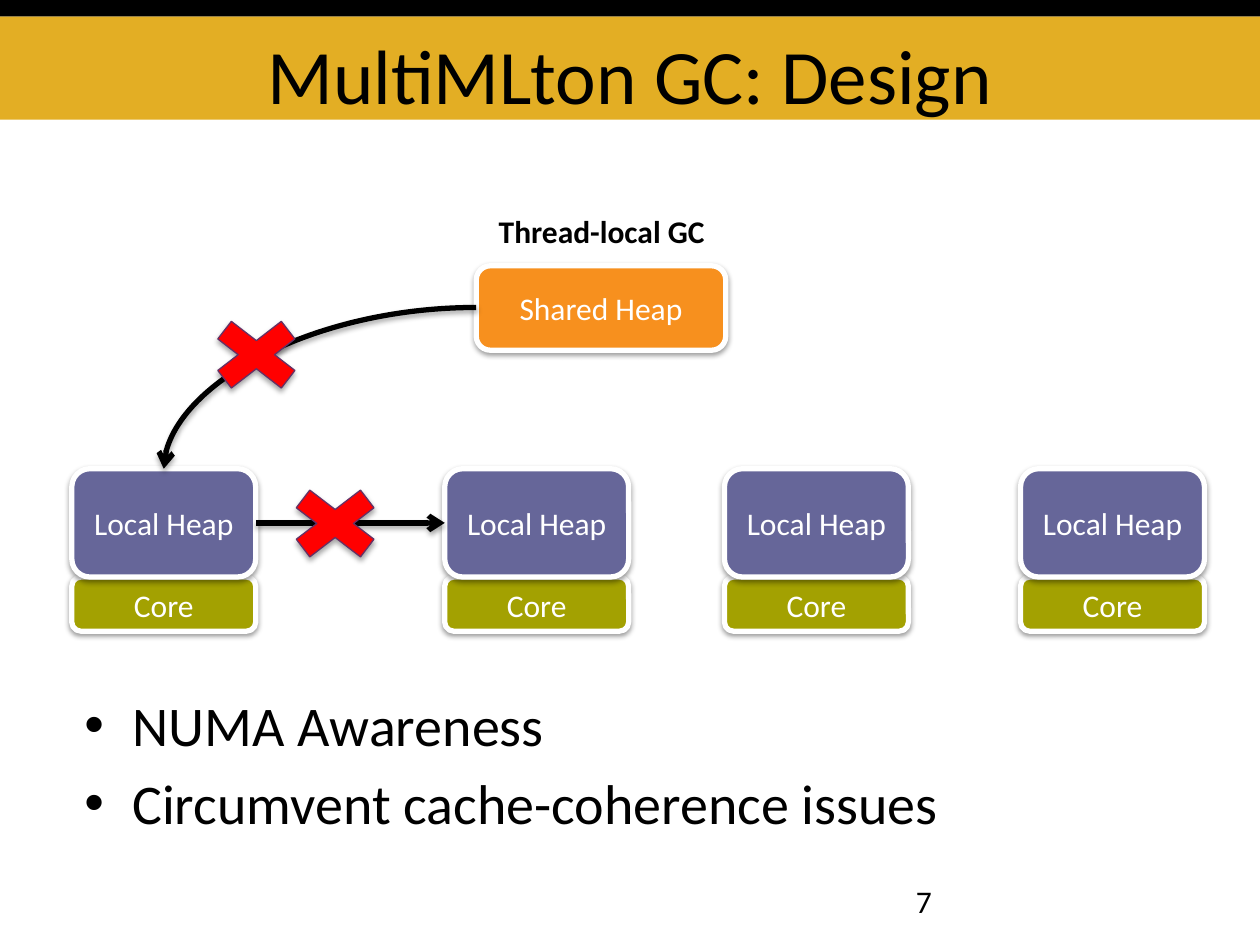
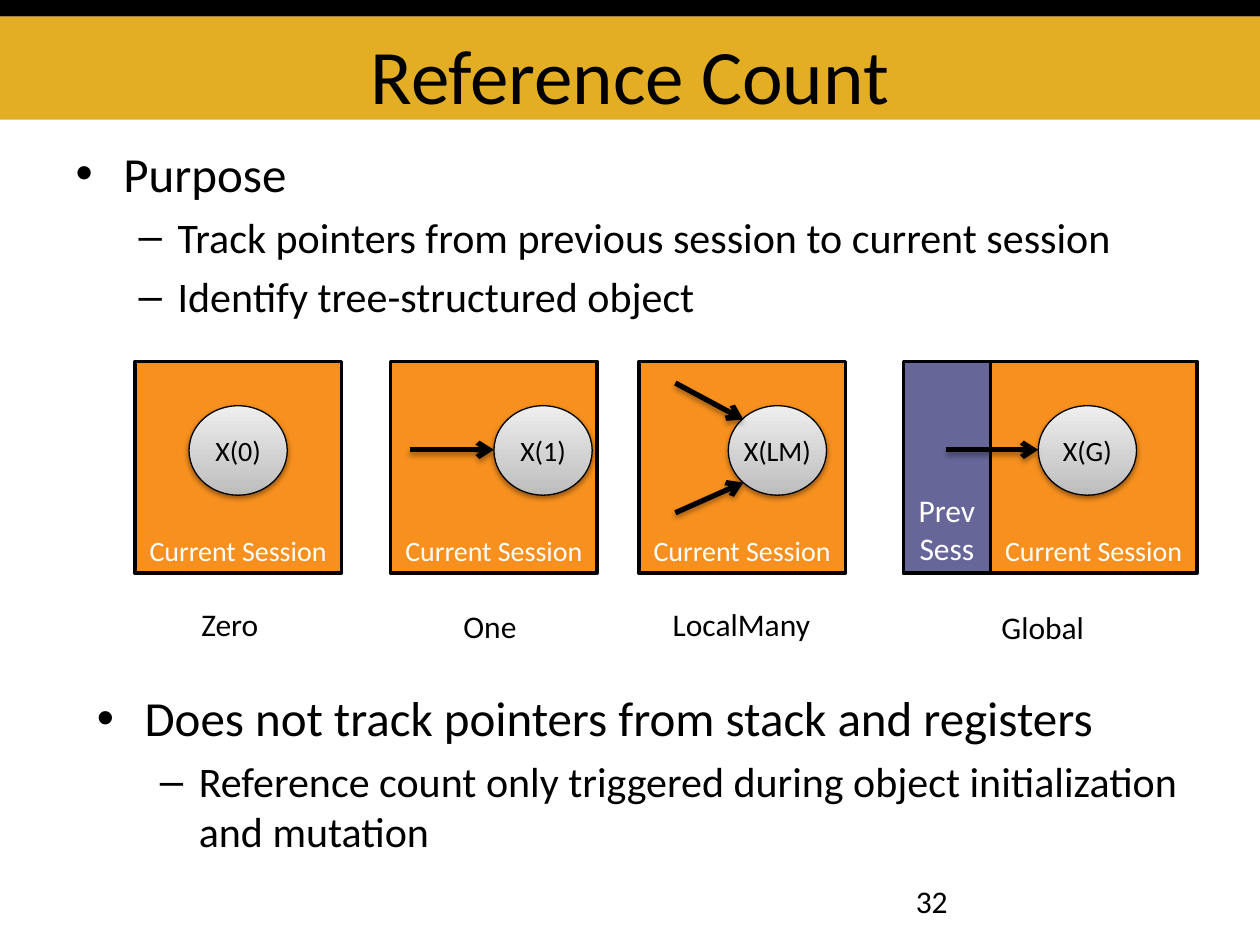
"""Build two slides on the MultiMLton garbage collector: heap design and reference counts."""
import pptx
import pptx.dml.color
import pptx.enum.shapes
import pptx.enum.text
import pptx.oxml
import pptx.oxml.ns
import pptx.util

Inches = pptx.util.Inches
Pt = pptx.util.Pt
SHAPE = pptx.enum.shapes.MSO_SHAPE
CONNECTOR = pptx.enum.shapes.MSO_CONNECTOR
ALIGN = pptx.enum.text.PP_ALIGN
ANCHOR = pptx.enum.text.MSO_ANCHOR
qn = pptx.oxml.ns.qn

FONT = "Calibri"
BLACK, WHITE, RED, PLUM = "000000", "FFFFFF", "FF0000", "653165"
GOLD, OLIVE, SLATE, ORANGE = "E3AE24", "A3A101", "666699", "F7901E"
COUNTER_SHADES = ("BDBDBD", "EEEEEE")

BANDS = [((0, 0.13, 10, 0.82), GOLD), ((0, 0, 10, 0.13), BLACK)]
TITLE_BOX = (0.5, 0.13, 9, 0.82)
NUMBER_BOX = (7.17, 6.95, 2.33, 0.4)
BULLETS = [("•", 0.38, -0.38), ("–", 0.81, -0.31)]

DESIGN = {
    "title": "MultiMLton GC: Design",
    "number": "7",
    "points": [(0, "NUMA Awareness", 32), (0, "Circumvent cache-coherence issues", 32)],
    "points_box": (0.57, 5.43, 9, 1.36),
}
CORE_LEFTS = [0.57, 3.53, 5.75, 8.1]
CORE_WIDTH, HEAP_TOP, HEAP_HEIGHT, CORE_HEIGHT = 1.46, 3.72, 0.86, 0.43
SHARED_HEAP_BOX = (3.78, 2.11, 1.98, 0.67)
FORBIDDEN_CROSSES = [(1.55, 2.44, 0.97, 0.75), (2.17, 3.78, 0.98, 0.75)]

COUNTS = {
    "title": "Reference Count",
    "number": "32",
    "points": [
        (0, "Purpose", 28),
        (1, "Track pointers from previous session to current session", 24),
        (1, "Identify tree-structured object", 24),
    ],
    "points_box": (0.5, 1.09, 9, 1.65),
}
LIMITS = [
    (0, "Does not track pointers from stack and registers", 28),
    (1, "Reference count only triggered during object initialization and mutation", 24),
]
SESSIONS = [
    {"left": 1.07, "counter": ("X(0)", 1.5), "caption": ("Zero", 1.5, 4.75, 0.67), "pointers": []},
    {"left": 3.1, "counter": ("X(1)", 3.92), "caption": ("One", 3.58, 4.77, 0.63),
     "pointers": [((3.25, 3.57), (3.92, 3.57))]},
    {"left": 5.07, "counter": ("X(LM)", 5.78), "caption": ("LocalMany", 5.24, 4.75, 1.31),
     "pointers": [((5.36, 3.04), (5.9, 3.33)), ((5.36, 4.07), (5.9, 3.83))]},
    {"left": 7.86, "counter": ("X(G)", 8.24), "caption": ("Global", 7.85, 4.78, 0.86),
     "pointers": [((7.51, 3.57), (8.24, 3.57))], "previous": "Prev\vSess"},
]
SESSION_TOP, SESSION_WIDTH, SESSION_HEIGHT, PREVIOUS_WIDTH = 2.87, 1.64, 1.68, 0.69
COUNTER_TOP, COUNTER_WIDTH, COUNTER_HEIGHT = 3.22, 0.78, 0.71


def rgb(code):
    return pptx.dml.color.RGBColor.from_string(code)


def inches(lengths):
    return [Inches(length) for length in lengths]


def write(frame, text, size=18, color=BLACK, bold=False, align=ALIGN.LEFT, anchor=ANCHOR.TOP,
          insets=(0.1, 0.05, 0.1, 0.05), wrap=True, level=None):
    first = not frame.text
    paragraph = frame.paragraphs[0] if first else frame.add_paragraph()
    frame.auto_size = pptx.enum.text.MSO_AUTO_SIZE.NONE
    frame.word_wrap, frame.vertical_anchor = wrap, anchor
    frame.margin_left, frame.margin_top, frame.margin_right, frame.margin_bottom = inches(insets)
    paragraph.text, paragraph.alignment = text, align
    paragraph.space_before = Pt(0 if first else round(size * 0.2))
    if level is not None:
        mark, margin, indent = BULLETS[level]
        paragraph.level = level
        properties = paragraph._p.get_or_add_pPr()
        properties.set("marL", str(Inches(margin)))
        properties.set("indent", str(Inches(indent)))
        for tag, key, value in (("a:buFont", "typeface", "Arial"), ("a:buChar", "char", mark)):
            bullet = pptx.oxml.parse_xml(f"<{tag} {pptx.oxml.ns.nsdecls('a')}/>")
            bullet.set(key, value)
            properties.append(bullet)
    for run in paragraph.runs:
        run.font.name, run.font.size, run.font.bold = FONT, Pt(size), bold
        run.font.color.rgb = rgb(color)


def write_points(frame, points):
    for level, text, size in points:
        write(frame, text, size=size, level=level)


def add_label(slide, text, box, **style):
    label = slide.shapes.add_textbox(*inches(box))
    write(label.text_frame, text, **style)


def cast_shadow(shape, alpha, distance):
    shape.element.spPr.append(pptx.oxml.parse_xml(
        f'<a:effectLst {pptx.oxml.ns.nsdecls("a")}><a:outerShdw blurRad="{Pt(3.1)}" '
        f'dist="{Pt(distance)}" dir="5400000" rotWithShape="0"><a:srgbClr val="{BLACK}">'
        f'<a:alpha val="{alpha * 1000}"/></a:srgbClr></a:outerShdw></a:effectLst>'))


def add_block(slide, kind, box, fill, line=None, width=0.75, shadow=None, text="", **style):
    block = slide.shapes.add_shape(kind, *inches(box))
    if isinstance(fill, str):
        block.fill.solid()
        block.fill.fore_color.rgb = rgb(fill)
    else:
        block.fill.gradient()
        block.fill.gradient_angle = 90
        for stop, shade in zip(block.fill.gradient_stops, fill):
            stop.color.rgb = rgb(shade)
    if line:
        block.line.color.rgb, block.line.width = rgb(line), Pt(width)
    else:
        block.line.fill.background()
    if shadow:
        cast_shadow(block, *shadow)
    else:
        block.shadow.inherit = False
    if text:
        write(block.text_frame, text, align=ALIGN.CENTER, **style)
    return block


def add_pointer(slide, start, end, curved=False):
    kind = CONNECTOR.CURVE if curved else CONNECTOR.STRAIGHT
    pointer = slide.shapes.add_connector(kind, *inches(start + end))
    if curved:
        pointer.element.spPr.find(qn("a:prstGeom")).set("prst", "curvedConnector2")
    pointer.line.color.rgb, pointer.line.width = rgb(BLACK), Pt(3)
    pointer.get_or_add_ln().append(
        pptx.oxml.parse_xml(f'<a:tailEnd {pptx.oxml.ns.nsdecls("a")} type="arrow"/>'))
    cast_shadow(pointer, 35, 1.8)


def add_heap(slide, text, box, fill, anchor=ANCHOR.MIDDLE):
    add_block(slide, SHAPE.ROUNDED_RECTANGLE, box, fill, WHITE, 3, (38, 1.6),
              text, color=WHITE, anchor=anchor)


def add_session(slide, text, left, width, fill, size):
    add_block(slide, SHAPE.RECTANGLE, (left, SESSION_TOP, width, SESSION_HEIGHT), fill, BLACK, 2,
              text=text, size=size, color=WHITE, anchor=ANCHOR.BOTTOM)


def place(placeholder, box):
    placeholder.left, placeholder.top, placeholder.width, placeholder.height = inches(box)
    return placeholder.text_frame


def start_slide(deck, content):
    slide = deck.slides.add_slide(deck.slide_layouts[1])
    write(place(slide.shapes.title, TITLE_BOX), content["title"], size=44, align=ALIGN.CENTER,
          anchor=ANCHOR.BOTTOM, insets=(0.1, 0.05, 0.1, 0))
    write_points(place(slide.placeholders[1], content["points_box"]), content["points"])
    add_label(slide, content["number"], NUMBER_BOX)
    return slide


def move_bands_to_master(deck, slide):
    for position, (box, fill) in enumerate(BANDS, start=2):
        band = add_block(slide, SHAPE.RECTANGLE, box, fill)
        deck.slide_master.shapes.element.insert(position, band.element)


def draw_design(slide):
    heap_bottom = HEAP_TOP + HEAP_HEIGHT
    for left in CORE_LEFTS:
        add_heap(slide, "Core", (left, heap_bottom, CORE_WIDTH, CORE_HEIGHT), OLIVE, ANCHOR.TOP)
        add_heap(slide, "Local Heap", (left, HEAP_TOP, CORE_WIDTH, HEAP_HEIGHT), SLATE)
    add_heap(slide, "Shared Heap", SHARED_HEAP_BOX, ORANGE)
    first, second = CORE_LEFTS[:2]
    middle = HEAP_TOP + HEAP_HEIGHT / 2
    add_pointer(slide, (SHARED_HEAP_BOX[0], 2.44), (first + CORE_WIDTH / 2, HEAP_TOP), curved=True)
    add_pointer(slide, (first + CORE_WIDTH, middle), (second, middle))
    for box in FORBIDDEN_CROSSES:
        add_block(slide, SHAPE.MATH_MULTIPLY, box, RED, PLUM, shadow=(35, 1.8))
    add_label(slide, "Thread-local GC", (3.86, 1.63, 1.86, 0.4), bold=True, wrap=False)


def draw_counts(slide):
    for session in SESSIONS:
        left = session["left"]
        add_session(slide, "Current Session", left, SESSION_WIDTH, ORANGE, 16)
        if "previous" in session:
            add_session(slide, session["previous"], left - PREVIOUS_WIDTH, PREVIOUS_WIDTH, SLATE, 18)
        counter, counter_left = session["counter"]
        add_block(slide, SHAPE.OVAL, (counter_left, COUNTER_TOP, COUNTER_WIDTH, COUNTER_HEIGHT),
                  COUNTER_SHADES, BLACK, shadow=(38, 1.6), text=counter, size=16,
                  anchor=ANCHOR.MIDDLE, insets=(0, 0, 0, 0))
        for start, end in session["pointers"]:
            add_pointer(slide, start, end)
        caption, *corner = session["caption"]
        add_label(slide, caption, (*corner, 0.4), wrap=False)
    limits = slide.shapes.add_textbox(*inches((0.67, 5.41, 9, 1.35)))
    write_points(limits.text_frame, LIMITS)


def main():
    deck = pptx.Presentation()
    deck.slide_width, deck.slide_height = inches((10, 7.5))
    design = start_slide(deck, DESIGN)
    move_bands_to_master(deck, design)
    draw_design(design)
    draw_counts(start_slide(deck, COUNTS))
    deck.save("out.pptx")


if __name__ == "__main__":
    main()
